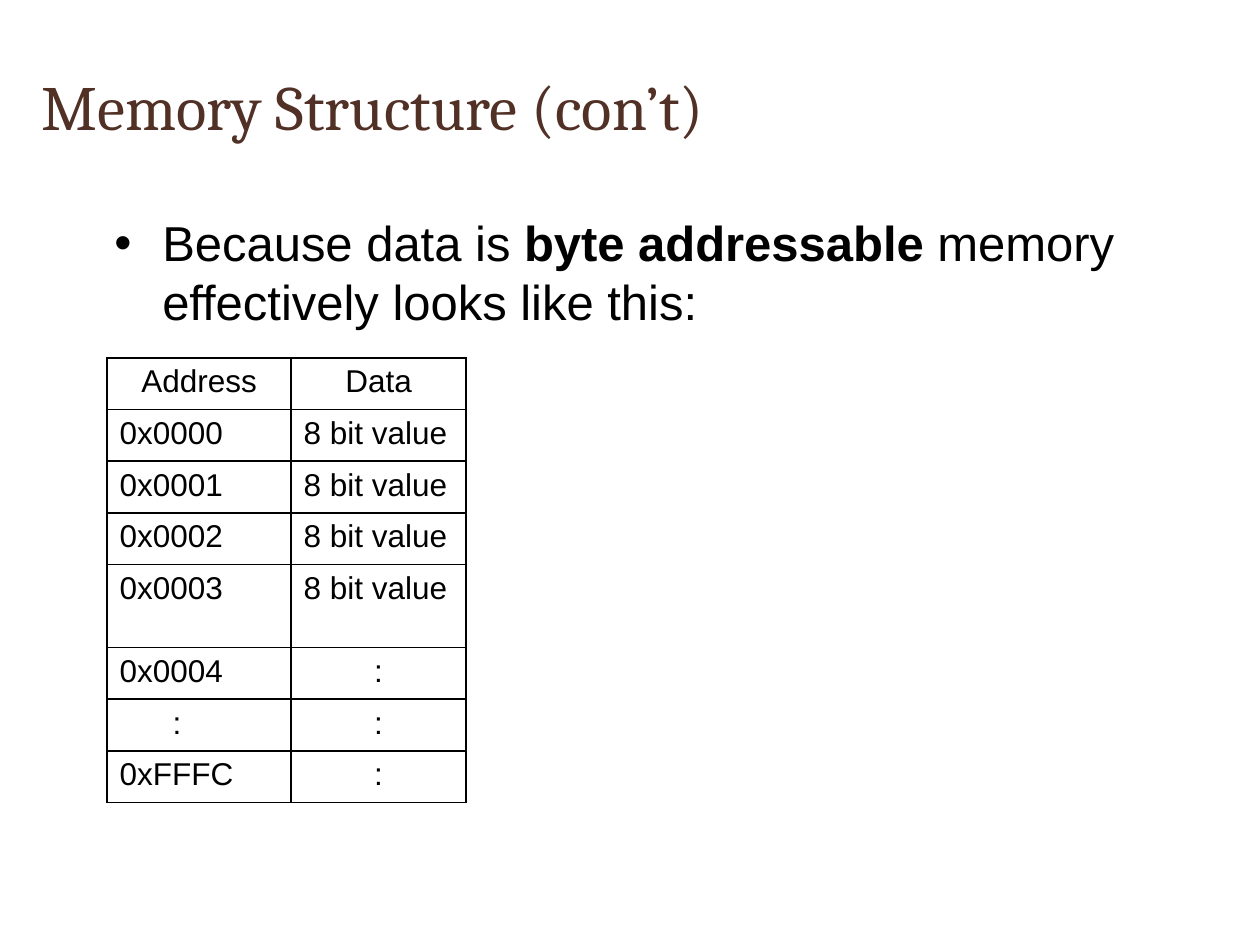
from dataclasses import dataclass

from lxml import etree
from pptx import Presentation
from pptx.dml.color import RGBColor
from pptx.enum import text as t
from pptx.oxml.ns import qn
from pptx.util import Inches, Pt


@dataclass(frozen=True)
class Theme:
    brown: RGBColor = RGBColor(0x51, 0x30, 0x26)
    black: RGBColor = RGBColor(0, 0, 0)
    serif: str = "Cambria"
    sans: str = "Arial"
    head: Pt = Pt(36)
    body: Pt = Pt(28)
    cell: Pt = Pt(18)


THEME = Theme()
ROWS = [
    ("Address", "Data"),
    *[(f"0x{n:04}", "8 bit value") for n in range(4)],
    ("0x0004", ":"),
    (":", ":"),
    ("0xFFFC", ":"),
]
COLS = (1.46, 1.39)
DOTS = (0.42, 0.56)  # indent of a colon in each column
ROW, TALL = 0.41, 0.66


def style(font, name, size, color):
    font.name, font.size, font.color.rgb = name, size, color


def indent(para, left, hang=0):
    props = para._p.get_or_add_pPr()
    props.set("marL", str(Inches(left)))
    props.set("indent", str(-Inches(hang)))
    return props


def add_title(slide, box, words):
    title = slide.shapes.title
    title.left, title.top, title.width, title.height = map(Inches, box)
    frame = title.text_frame
    frame.text = words
    frame.vertical_anchor = t.MSO_ANCHOR.MIDDLE
    para = frame.paragraphs[0]
    para.alignment = t.PP_ALIGN.LEFT
    style(para.runs[0].font, THEME.serif, THEME.head, THEME.brown)


def add_body(slide, box, parts):
    """Add one bullet made of (words, bold) parts."""
    frame = slide.shapes.add_textbox(*map(Inches, box)).text_frame
    frame.word_wrap = True
    frame.margin_top = Inches(0.09)
    para = frame.paragraphs[0]
    props = indent(para, 0.38, 0.38)
    etree.SubElement(props, qn("a:buFont"), typeface=THEME.sans)
    etree.SubElement(props, qn("a:buChar"), char="•")
    for words, bold in parts:
        run = para.add_run()
        run.text = words
        style(run.font, THEME.sans, THEME.body, THEME.black)
        run.font.bold = bold


def add_edges(cell):
    props = cell._tc.get_or_add_tcPr()
    for spot, side in enumerate(("lnL", "lnR", "lnT", "lnB")):
        line = etree.Element(qn(f"a:{side}"), w=str(Pt(1)))
        fill = etree.SubElement(line, qn("a:solidFill"))
        etree.SubElement(fill, qn("a:srgbClr"), val=str(THEME.black))
        props.insert(spot, line)


def add_memory(slide, left, top):
    heights = [TALL if row[0] == "0x0003" else ROW for row in ROWS]
    size = map(Inches, (left, top, sum(COLS), sum(heights)))
    table = slide.shapes.add_table(len(ROWS), len(COLS), *size).table
    table.first_row = table.horz_banding = False
    for col, width in zip(table.columns, COLS):
        col.width = Inches(width)
    for r, (row, height) in enumerate(zip(ROWS, heights)):
        table.rows[r].height = Inches(height)
        for c, words in enumerate(row):
            cell = table.cell(r, c)
            cell.fill.background()
            add_edges(cell)
            cell.text_frame.text = words
            para = cell.text_frame.paragraphs[0]
            if r == 0:
                para.alignment = t.PP_ALIGN.CENTER
            if words == ":":
                indent(para, DOTS[c])
            style(para.runs[0].font, THEME.sans, THEME.cell, THEME.black)


def main():
    deck = Presentation()
    deck.slide_width, deck.slide_height = Inches(10), Inches(7.5)
    slide = deck.slides.add_slide(deck.slide_layouts[5])
    add_title(slide, (0.23, 0.21, 8.2, 1.25), "Memory Structure (con’t)")
    add_body(slide, (0.81, 1.6, 8.2, 5.66), [
        ("Because data is ", False),
        ("byte addressable ", True),
        ("memory effectively looks like this:", False),
    ])
    add_memory(slide, 0.85, 2.84)
    deck.save("out.pptx")


if __name__ == "__main__":
    main()
